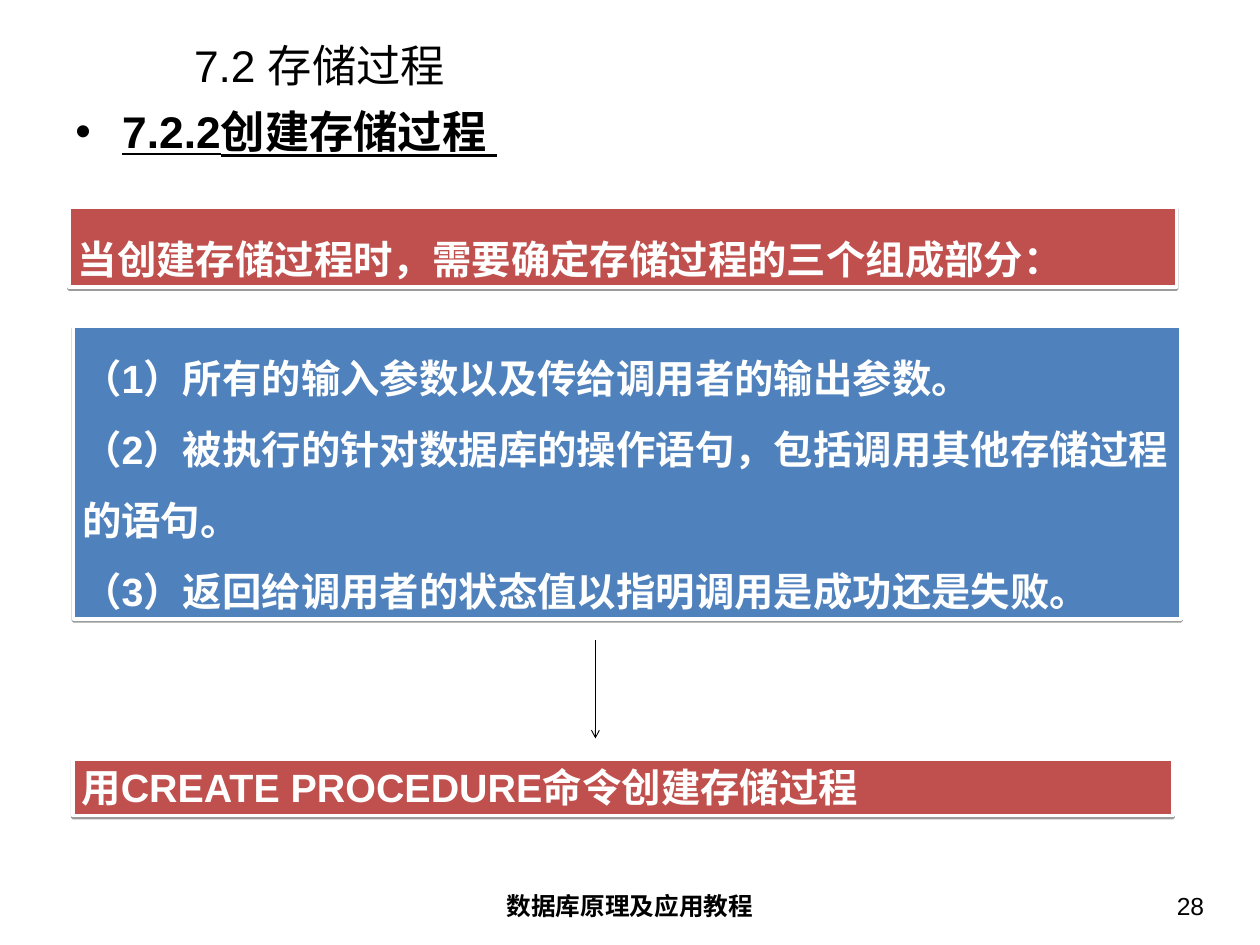
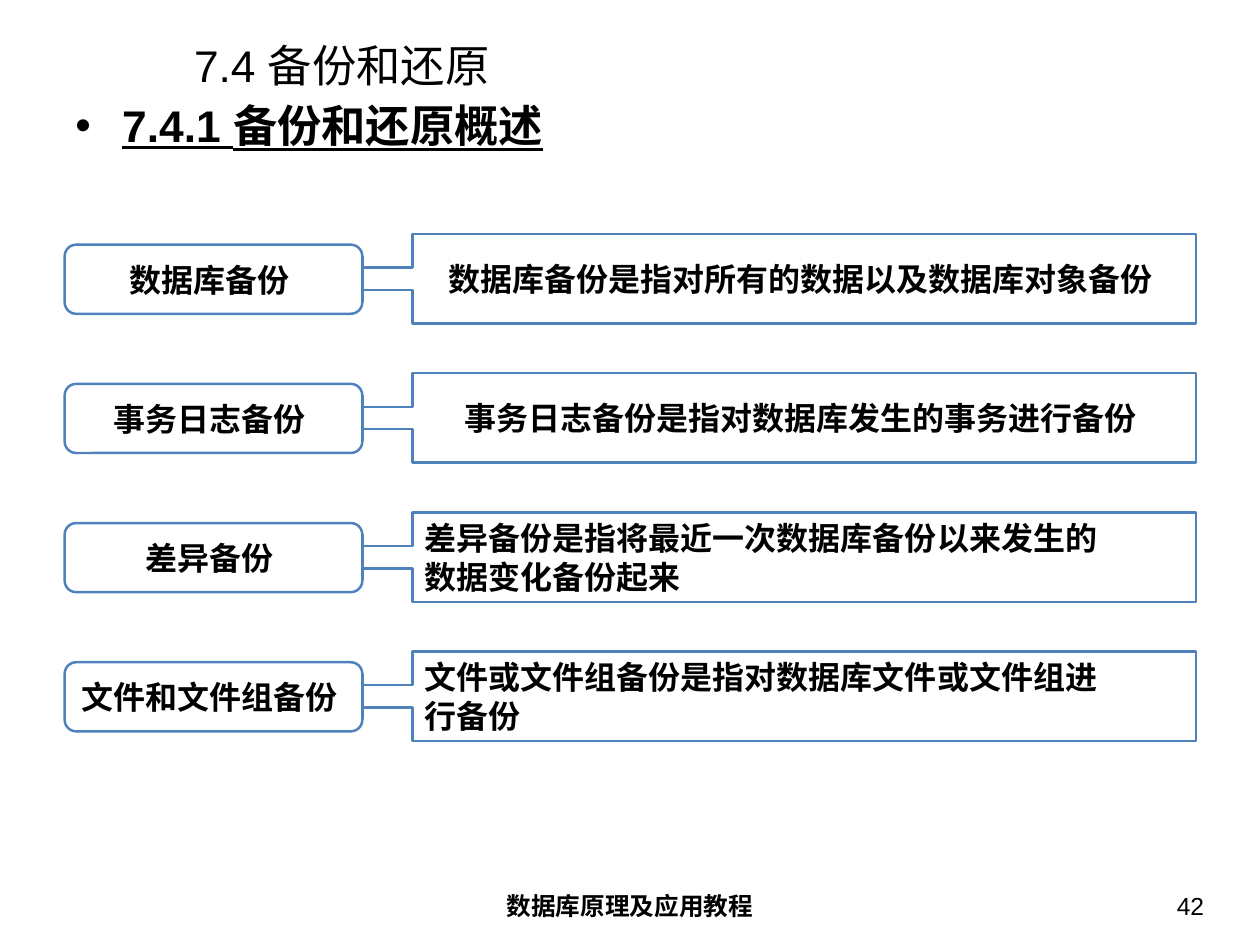
"""Build two lecture slides on stored procedures and backups."""
from dataclasses import dataclass

from lxml import etree
from pptx import Presentation
from pptx import util as u
from pptx.dml.color import RGBColor
from pptx.enum import shapes, text
from pptx.oxml import ns


@dataclass(frozen=True)
class Theme:
    font: str = "Arial"
    ink: str = "000000"
    paper: str = "FFFFFF"
    blue: str = "4F81BD"
    red: str = "C0504D"
    title: int = 36
    banner: int = 32
    card: int = 26
    footer: int = 20


def add_element(parent, tag, **attributes):
    return etree.SubElement(parent, ns.qn(tag), attributes)


class Deck:
    def __init__(self, theme):
        self.theme = theme
        self.deck = Presentation()
        self.deck.slide_width = u.Inches(14.22)
        self.deck.slide_height = u.Inches(10.66)
        self.page = None

    def new_page(self, title, heading, heading_top, number):
        theme = self.theme
        self.page = self.deck.slides.add_slide(self.deck.slide_layouts[6])
        self.label((2.05, 0.45, 11.83, 0.57), title, theme.title, anchor=text.MSO_ANCHOR.MIDDLE)
        self.heading(heading, heading_top)
        self.label((4.86, 9.98, 4.5, 0.55), "数据库原理及应用教程", theme.footer,
                   bold=True, align=text.PP_ALIGN.CENTER)
        self.label((10.41, 9.98, 3.32, 0.55), number, theme.footer, align=text.PP_ALIGN.RIGHT)

    def fill_text(self, box, lines, size, color, bold=True, align=text.PP_ALIGN.LEFT,
                  anchor=text.MSO_ANCHOR.TOP, inset=(0.14, 0.07), spacing=None, wrap=True):
        frame = box.text_frame
        frame.word_wrap = wrap
        frame.vertical_anchor = anchor
        frame.margin_left = frame.margin_right = u.Inches(inset[0])
        frame.margin_top = frame.margin_bottom = u.Inches(inset[1])
        for index, line in enumerate(lines):
            para = frame.add_paragraph() if index else frame.paragraphs[0]
            para.alignment = align
            if spacing:
                para.line_spacing = spacing
            span = para.add_run()
            span.text = line
            span.font.name = self.theme.font
            span.font.size = u.Pt(size)
            span.font.bold = bold
            span.font.color.rgb = RGBColor.from_string(color)
        return frame

    def label(self, area, line, size, bold=False, **style):
        box = self.page.shapes.add_textbox(*map(u.Inches, area))
        return self.fill_text(box, [line], size, self.theme.ink, bold, **style)

    def heading(self, line, top):
        frame = self.label((0.71, top, 12.8, 0.89), line, self.theme.title, bold=True)
        para = frame.paragraphs[0]
        para.runs[0].font.underline = True
        props = para._p.get_or_add_pPr()
        props.set("marL", str(u.Inches(0.53)))
        props.set("indent", str(-u.Inches(0.53)))
        color = add_element(props, "a:buClr")
        add_element(color, "a:srgbClr", val=self.theme.ink)
        add_element(props, "a:buFont", typeface=self.theme.font)
        add_element(props, "a:buChar", char="•")

    def shape(self, preset, area, fill, line, width):
        box = self.page.shapes.add_shape(preset, *map(u.Inches, area))
        box.shadow.inherit = False
        box.fill.solid()
        box.fill.fore_color.rgb = RGBColor.from_string(fill)
        box.line.color.rgb = RGBColor.from_string(line)
        box.line.width = u.Pt(width)
        return box

    def banner(self, area, fill, lines, spacing=None):
        theme = self.theme
        box = self.shape(shapes.MSO_SHAPE.RECTANGLE, area, fill, theme.paper, 3)
        effects = box._element.spPr.find(ns.qn("a:effectLst"))
        shadow = add_element(effects, "a:outerShdw", blurRad="0", dist=str(u.Pt(1.6)),
                             dir="5400000", rotWithShape="0")
        color = add_element(shadow, "a:srgbClr", val=theme.ink)
        add_element(color, "a:alpha", val="38000")
        frame = self.fill_text(box, lines, theme.banner, theme.paper, inset=(0.1, 0.05),
                               spacing=spacing)
        frame.auto_size = text.MSO_AUTO_SIZE.SHAPE_TO_FIT_TEXT

    def card(self, preset, area, lines, adjustments=()):
        theme = self.theme
        box = self.shape(preset, area, theme.paper, theme.blue, 2)
        for index, value in enumerate(adjustments):
            box.adjustments[index] = value
        align = text.PP_ALIGN.LEFT if len(lines) > 1 else text.PP_ALIGN.CENTER
        self.fill_text(box, lines, theme.card, theme.ink, align=align,
                       anchor=text.MSO_ANCHOR.MIDDLE, wrap=False)

    def arrow(self, *ends):
        line = self.page.shapes.add_connector(shapes.MSO_CONNECTOR.STRAIGHT, *map(u.Inches, ends))
        line.line.color.rgb = RGBColor.from_string(self.theme.ink)
        line.line.width = u.Pt(0.75)
        add_element(line.line._get_or_add_ln(), "a:tailEnd", type="arrow")
        add_element(line._element.spPr, "a:effectLst")


def procedure_page(deck):
    theme = deck.theme
    deck.new_page("7.2 存储过程", "7.2.2创建存储过程 ", 1.11, "28")
    deck.banner((0.83, 3.68, 12.5, 3.3), theme.blue, [
        "（1）所有的输入参数以及传给调用者的输出参数。",
        "（2）被执行的针对数据库的操作语句，包括调用其他存储过程的语句。",
        "（3）返回给调用者的状态值以指明调用是成功还是失败。",
    ], 1.5)
    deck.banner((0.82, 8.56, 12.42, 0.64), theme.red, ["用CREATE PROCEDURE命令创建存储过程"])
    deck.banner((0.78, 2.34, 12.5, 0.9), theme.red,
                ["当创建存储过程时，需要确定存储过程的三个组成部分："], 1.5)
    deck.arrow(6.72, 7.22, 6.72, 8.33)


def backup_page(deck):
    deck.new_page("7.4 备份和还原", "7.4.1 备份和还原概述", 1.04, "42")
    backups = [
        ("数据库备份 ", ["数据库备份是指对所有的数据以及数据库对象备份 "]),
        ("事务日志备份 ", ["事务日志备份是指对数据库发生的事务进行备份 "]),
        ("差异备份 ", ["差异备份是指将最近一次数据库备份以来发生的", "数据变化备份起来"]),
        ("文件和文件组备份 ", ["文件或文件组备份是指对数据库文件或文件组进", "行备份"]),
    ]
    for row, (name, meaning) in enumerate(backups):
        top = 2.64 + 1.57 * row
        deck.card(shapes.MSO_SHAPE.FLOWCHART_ALTERNATE_PROCESS, (0.73, top + 0.12, 3.36, 0.78), [name])
        deck.card(shapes.MSO_SHAPE.LEFT_ARROW_CALLOUT, (4.09, top, 9.41, 1.01), meaning,
                  (0.25, 0.25, -0.31, 0.94))


def main():
    deck = Deck(Theme())
    procedure_page(deck)
    backup_page(deck)
    deck.deck.save("out.pptx")


if __name__ == "__main__":
    main()
